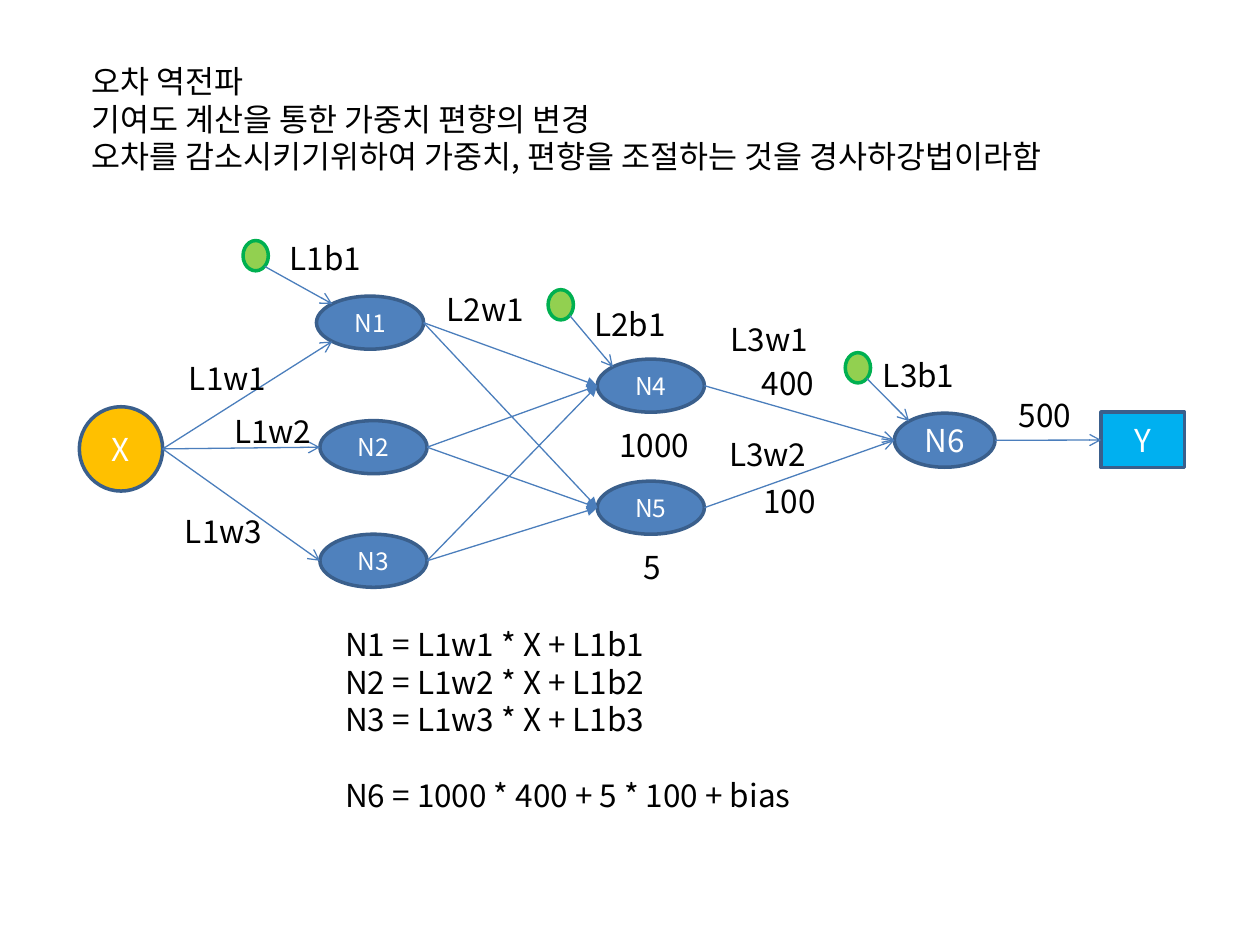
from lxml.etree import SubElement
from pptx import Presentation
from pptx.dml.color import RGBColor
from pptx.enum.shapes import MSO_CONNECTOR, MSO_SHAPE
from pptx.enum.text import MSO_ANCHOR, PP_ALIGN
from pptx.oxml.ns import qn
from pptx.util import Cm, Pt

FONT = "Noto Sans CJK KR"
DIAGONAL = 0.7071
LEFT, RIGHT = (-1, 0), (1, 0)
TOP_LEFT, BOTTOM_LEFT = (-DIAGONAL, -DIAGONAL), (-DIAGONAL, DIAGONAL)
BOTTOM_RIGHT = (DIAGONAL, DIAGONAL)

# name: left, top, width, height, fill, text size
NODES = {
    "X": (1.6, 8.2, 1.68, 1.7, "FFC000", 18),
    "N1": (6.38, 5.97, 2.16, 1.07, "4F81BD", 14),
    "N2": (6.45, 8.48, 2.16, 1.07, "4F81BD", 14),
    "N3": (6.45, 10.77, 2.16, 1.07, "4F81BD", 14),
    "N4": (12.04, 7.24, 2.16, 1.07, "4F81BD", 14),
    "N5": (12.04, 9.7, 2.16, 1.07, "4F81BD", 14),
    "N6": (18.03, 8.33, 2.03, 1.09, "4F81BD", 18),
}
BIASES = {"N1": (4.9, 4.85), "N4": (11.05, 5.84), "N6": (17.04, 7.11)}
PARAMETERS = {
    "L1w1": (3.56, 7.11), "L1w2": (4.47, 8.18), "L1w3": (3.48, 10.19),
    "L2w1": (8.76, 5.72), "L3w1": (14.48, 6.32), "L3w2": (14.45, 8.64),
    "L1b1": (5.59, 4.7), "L2b1": (11.73, 6.02), "L3b1": (17.55, 7.06),
}
VALUES = {
    "500": (20.29, 7.85, 1.57), "400": (15.11, 7.21, 1.57),
    "100": (15.14, 9.6, 1.57), "1000": (12.24, 8.46, 1.93),
    "5": (12.73, 10.92, 0.86),
}
TITLE = [
    "오차 역전파",
    "기여도 계산을 통한 가중치 편향의 변경",
    "오차를 감소시키기위하여 가중치, 편향을 조절하는 것을 경사하강법이라함",
]
FORMULAS = [
    "N1 = L1w1 * X + L1b1",
    "N2 = L1w2 * X + L1b2",
    "N3 = L1w3 * X + L1b3",
    "N6 = 1000 * 400 + 5 * 100 + bias",
]


def rgb(value):
    return RGBColor.from_string(value)


def set_font(p, size, color):
    p.font.size = Pt(size)
    p.font.color.rgb = rgb(color)
    p.font.name = FONT
    SubElement(p._p.pPr.find(qn("a:defRPr")), qn("a:ea"), typeface=FONT)


def add_node(s, kind, left, top, width, height, fill, line="3A5F8C", text="", size=18):
    sp = s.shapes.add_shape(kind, Cm(left), Cm(top), Cm(width), Cm(height))
    sp.shadow.inherit = False
    sp.fill.solid()
    sp.fill.fore_color.rgb = rgb(fill)
    sp.line.color.rgb = rgb(line)
    sp.line.width = Pt(2)
    if text:
        tf = sp.text_frame
        tf.vertical_anchor = MSO_ANCHOR.MIDDLE
        p = tf.paragraphs[0]
        p.text = text
        p.alignment = PP_ALIGN.CENTER
        set_font(p, size, "FFFFFF")
    return sp


def add_text(s, left, top, width, height, lines, wrap=True):
    tf = s.shapes.add_textbox(Cm(left), Cm(top), Cm(width), Cm(height)).text_frame
    tf.word_wrap = wrap
    for i, line in enumerate(lines):
        p = tf.add_paragraph() if i else tf.paragraphs[0]
        p.text = line
        set_font(p, 18, "000000")
    return tf


def edge_point(sp, side):
    """Point on the outline of sp, side being an offset in half sizes from its centre."""
    dx, dy = side
    return (int(sp.left + sp.width * (1 + dx) / 2),
            int(sp.top + sp.height * (1 + dy) / 2))


def add_arrow(s, start, end, start_side=RIGHT, end_side=LEFT, head="arrow"):
    line = s.shapes.add_connector(MSO_CONNECTOR.STRAIGHT,
                                  *edge_point(start, start_side),
                                  *edge_point(end, end_side))
    line.line.color.rgb = rgb("4B7EBC")
    line.line.width = Pt(0.75)
    SubElement(line.line._get_or_add_ln(), qn("a:tailEnd"), type=head)
    SubElement(line._element.spPr, qn("a:effectLst"))
    return line


def add_network(s):
    nodes = {
        name: add_node(s, MSO_SHAPE.OVAL, *box, fill, text=name, size=size)
        for name, (*box, fill, size) in NODES.items()
    }
    output = add_node(s, MSO_SHAPE.RECTANGLE, 22.2, 8.31, 1.68, 1.12, "00B0F0", text="Y")

    add_arrow(s, nodes["X"], nodes["N1"], end_side=BOTTOM_LEFT)
    for name in ("N2", "N3"):
        add_arrow(s, nodes["X"], nodes[name])
    for first in ("N1", "N2", "N3"):
        for second in ("N4", "N5"):
            add_arrow(s, nodes[first], nodes[second], head="triangle")
    for name in ("N4", "N5"):
        add_arrow(s, nodes[name], nodes["N6"])
    add_arrow(s, nodes["N6"], output).end_connect(output, 1)

    for name, (left, top) in BIASES.items():
        bias = add_node(s, MSO_SHAPE.OVAL, left, top, 0.51, 0.61, "92D050", "00B050")
        add_arrow(s, bias, nodes[name], BOTTOM_RIGHT, TOP_LEFT)


def main():
    prs = Presentation()
    prs.slide_width, prs.slide_height = Cm(25.4), Cm(19.05)
    s = prs.slides.add_slide(prs.slide_layouts[6])
    add_network(s)
    for text, (left, top) in PARAMETERS.items():
        add_text(s, left, top, 2.08, 1.02, [text])
    for text, (left, top, width) in VALUES.items():
        add_text(s, left, top, width, 1.02, [text], wrap=False)
    add_text(s, 1.6, 1.12, 22.28, 2.57, TITLE)
    formulas = add_text(s, 6.71, 12.47, 11.99, 4.88, FORMULAS)
    formulas.paragraphs[-1].space_before = Pt(21.6)
    prs.save("out.pptx")


if __name__ == "__main__":
    main()
